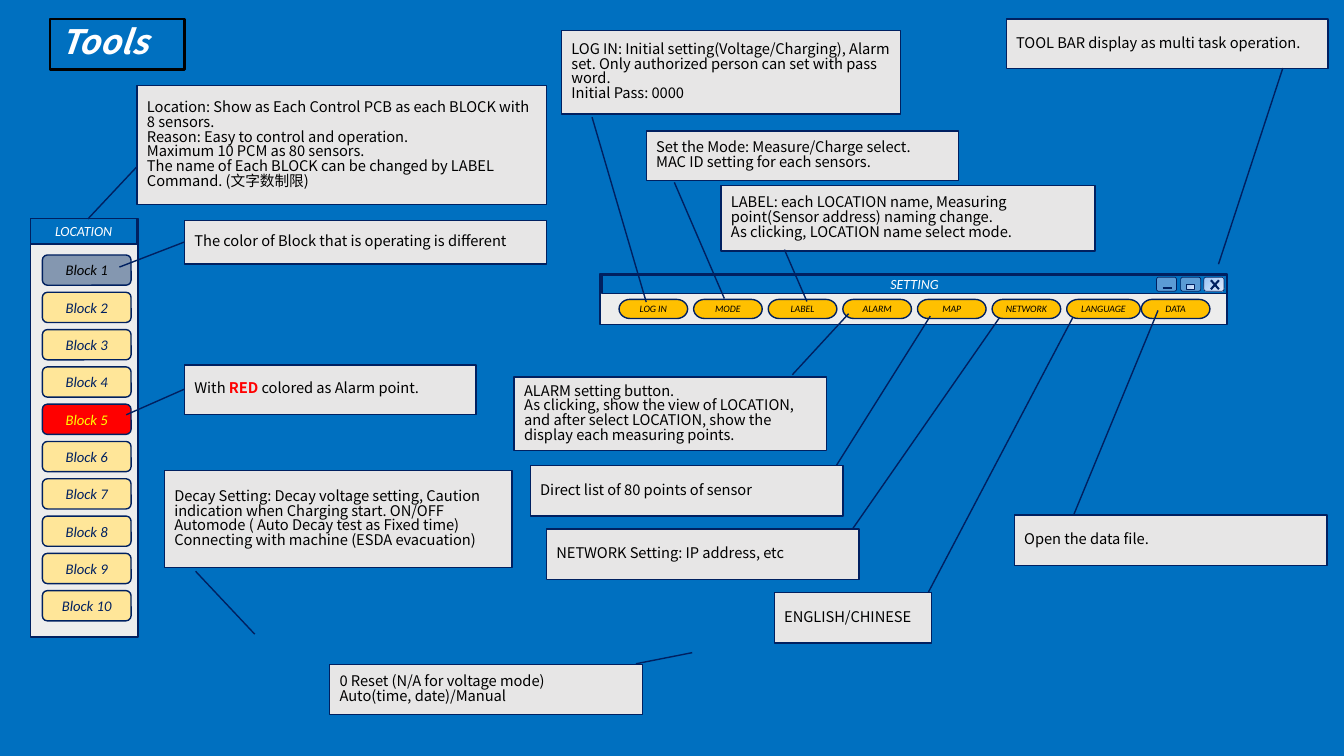
import pptx
import pptx.util
import pptx.dml.color
import pptx.enum.shapes
import pptx.enum.text
import pptx.oxml.ns
import lxml.etree

Inches, Pt = pptx.util.Inches, pptx.util.Pt
RGBColor = pptx.dml.color.RGBColor
SHAPE = pptx.enum.shapes.MSO_SHAPE
ALIGN, ANCHOR = pptx.enum.text.PP_ALIGN, pptx.enum.text.MSO_ANCHOR

BLUE = RGBColor(0x00, 0x70, 0xC0)
NAVY = RGBColor(0x00, 0x20, 0x60)
PANEL = RGBColor(0xED, 0xED, 0xED)
NOTE = RGBColor(0xE7, 0xE6, 0xE6)
SLATE = RGBColor(0x84, 0x97, 0xB0)
CREAM = RGBColor(0xFF, 0xE6, 0x99)
AMBER = RGBColor(0xFF, 0xC0, 0x00)
SKY = RGBColor(0x5B, 0x9B, 0xD5)
PALE_STOPS = [RGBColor(0x9A, 0xC3, 0xF5), RGBColor(0xE1, 0xEB, 0xFB)]
RED = RGBColor(0xFF, 0x00, 0x00)
YELLOW = RGBColor(0xFF, 0xFF, 0x00)
BLACK = RGBColor(0x00, 0x00, 0x00)
WHITE = RGBColor(0xFF, 0xFF, 0xFF)
LABEL_FONT, NOTE_FONT = "Calibri", "Noto Sans CJK JP"

# Content
BLOCKS = [f"Block {number}" for number in range(1, 11)]
SPECIAL_BLOCKS = {"Block 1": (SLATE, BLACK), "Block 5": (RED, YELLOW)}
COMMANDS = ["LOG IN", "MODE", "LABEL", "ALARM", "MAP", "NETWORK", "LANGUAGE", "DATA"]

# Each note: box, pointer as (y1, x1, y2, x2) fractions of the box, paragraphs
NOTES = [
    ((1.36, 0.85, 4.06, 1.18), (0.68, 0, 1.12, -0.12),
     ["Location: Show as Each Control PCB as each BLOCK with 8 sensors.",
      "Reason: Easy to control and operation.",
      "Maximum 10 PCM as 80 sensors.",
      "The name of Each BLOCK can be changed by LABEL Command. (文字数制限)"]),
    ((1.83, 2.19, 3.59, 0.43), (0.49, 0, 1.07, -0.18),
     ["The color of Block that is operating is different"]),
    ((1.83, 3.62, 2.89, 0.49), (0.49, 0, 1.01, -0.2),
     [["With ", ("RED", RED), " colored as Alarm point."]]),
    ((5.57, 0.3, 3.36, 0.83), (1.04, 0.09, 3.25, 0.25),
     ["LOG IN: Initial setting(Voltage/Charging), Alarm set. "
      "Only authorized person can set with pass word.",
      "Initial Pass: 0000"]),
    ((6.41, 1.3, 3.1, 0.49), (1.04, 0.09, 3.39, 0.25),
     ["Set the Mode: Measure/Charge select.",
      "MAC ID setting for each sensors."]),
    ((9.98, 0.19, 3.19, 0.49), (0.99, 0.86, 4.96, 0.66),
     ["TOOL BAR display as multi task operation."]),
    ((7.15, 1.84, 3.71, 0.65), (0.98, 0.17, 1.77, 0.23),
     ["LABEL: each LOCATION name, Measuring point(Sensor address) naming change.",
      "As clicking, LOCATION name select mode."]),
    ((5.1, 3.74, 3.1, 0.73), (-0.03, 0.89, -0.86, 1.07),
     ["ALARM setting button.",
      "As clicking, show the view of LOCATION, and after select LOCATION, "
      "show the display each measuring points."]),
    ((5.26, 4.62, 3.1, 0.5), (-0.01, 0.98, -2.97, 1.28),
     ["Direct list of 80 points of sensor"]),
    ((5.42, 5.25, 3.1, 0.5), (-0.01, 0.98, -4.2, 1.45),
     ["NETWORK Setting: IP address, etc"]),
    ((7.68, 5.88, 1.56, 0.5), (-0.01, 0.98, -5.47, 1.9),
     ["ENGLISH/CHINESE"]),
    ((10.06, 5.11, 3.1, 0.5), (0, 0.19, -4.06, 0.46),
     ["Open the data file."]),
    ((1.63, 4.67, 3.45, 0.96), (1.04, 0.09, 1.69, 0.26),
     ["Decay Setting: Decay voltage setting, Caution indication when "
      "Charging start. ON/OFF",
      "Automode ( Auto Decay test as Fixed time)",
      "Connecting with machine (ESDA evacuation)"]),
    ((3.27, 6.59, 3.1, 0.5), (-0.01, 0.98, -0.23, 1.16),
     ["0 Reset (N/A for voltage mode)",
      "Auto(time, date)/Manual"]),
]


def write(frame, paragraphs, size=10.5, font=LABEL_FONT, color=BLACK, bold=False,
          italic=True, align=ALIGN.CENTER, anchor=ANCHOR.MIDDLE, inset=0, spacing=None):
    frame.word_wrap = True
    frame.auto_size = pptx.enum.text.MSO_AUTO_SIZE.NONE
    frame.vertical_anchor = anchor
    frame.margin_left = frame.margin_right = Inches(inset)
    frame.margin_top = frame.margin_bottom = Inches(inset / 2)
    for index, runs in enumerate(paragraphs):
        paragraph = frame.add_paragraph() if index else frame.paragraphs[0]
        paragraph.alignment = align
        paragraph.line_spacing = spacing
        for part in [runs] if isinstance(runs, str) else runs:
            text, accent = (part, None) if isinstance(part, str) else part
            run = paragraph.add_run()
            run.text = text
            run.font.size, run.font.name = Pt(size), font
            run.font.bold, run.font.italic = bold or accent is not None, italic
            run.font.color.rgb = accent or color
            east_asian = lxml.etree.SubElement(run.font._element, pptx.oxml.ns.qn("a:ea"))
            east_asian.set("typeface", font)


def draw(slide, kind, box, fill, weight=1):
    shape = slide.shapes.add_shape(kind, *map(Inches, box))
    shape.shadow.inherit = False
    if isinstance(fill, list):
        shape.fill.gradient()
        shape.fill.gradient_angle = 315
        for position, (stop, color) in enumerate(zip(shape.fill.gradient_stops, fill)):
            stop.color.rgb = color
            stop.position = position
    else:
        shape.fill.solid()
        shape.fill.fore_color.rgb = fill
    shape.line.color.rgb = NAVY
    shape.line.width = Pt(weight)
    return shape


def stroke(slide, *ends):
    line = slide.shapes.add_connector(pptx.enum.shapes.MSO_CONNECTOR.STRAIGHT,
                                      *map(Inches, ends))
    line.line.color.rgb = NAVY
    line.line.width = Pt(1.5)
    lxml.etree.SubElement(line._element.spPr, pptx.oxml.ns.qn("a:effectLst"))


def add_title(slide):
    title = slide.shapes.title
    title.left, title.top, title.width, title.height = map(Inches, (0.5, 0.19, 1.33, 0.5))
    title.line.color.rgb = BLACK
    title.line.width = Pt(1.5)
    write(title.text_frame, ["Tools"], size=24, font=NOTE_FONT, color=WHITE, bold=True,
          align=ALIGN.LEFT, inset=0.1, spacing=0.83)


def add_location_panel(slide):
    draw(slide, SHAPE.RECTANGLE, (0.3, 2.17, 1.07, 4.15), PANEL)
    for row, block in enumerate(BLOCKS):
        fill, color = SPECIAL_BLOCKS.get(block, (CREAM, NAVY))
        button = draw(slide, SHAPE.ROUNDED_RECTANGLE, (0.42, 2.53 + 0.37 * row, 0.88, 0.3), fill)
        write(button.text_frame, [block], color=color)
    header = draw(slide, SHAPE.RECTANGLE, (0.3, 2.17, 1.06, 0.25), BLUE)
    write(header.text_frame, ["LOCATION"], size=10, color=WHITE)


def add_setting_bar(slide):
    draw(slide, SHAPE.RECTANGLE, (5.95, 2.72, 6.22, 0.5), PANEL)
    header = draw(slide, SHAPE.RECTANGLE, (5.97, 2.73, 6.2, 0.18), BLUE)
    write(header.text_frame, ["SETTING"], size=10, color=WHITE)
    for column, command in enumerate(COMMANDS):
        width = 0.73 if command == "LANGUAGE" else 0.68
        button = draw(slide, SHAPE.FLOWCHART_TERMINATOR,
                      (6.14 + 0.74 * column, 2.97, width, 0.19), AMBER)
        write(button.text_frame, [command], size=7)
    # Window controls: minimise, maximise, close
    for left, fill in ((11.47, SKY), (11.71, SKY), (11.94, PALE_STOPS)):
        draw(slide, SHAPE.ROUNDED_RECTANGLE, (left, 2.75, 0.2, 0.14), fill, weight=0.5)
    draw(slide, SHAPE.RECTANGLE, (11.77, 2.82, 0.08, 0.05), PALE_STOPS)
    stroke(slide, 11.53, 2.86, 11.62, 2.86)
    stroke(slide, 12.01, 2.87, 12.09, 2.78)
    stroke(slide, 12.01, 2.78, 12.09, 2.87)


def add_notes(slide):
    for box, pointer, paragraphs in NOTES:
        note = draw(slide, SHAPE.LINE_CALLOUT_1, box, NOTE)
        for index, fraction in enumerate(pointer):
            note.adjustments[index] = fraction
        write(note.text_frame, paragraphs, font=NOTE_FONT, italic=False,
              align=ALIGN.LEFT, inset=0.1, spacing=0.83)


def main():
    deck = pptx.Presentation()
    deck.slide_width, deck.slide_height = Inches(13.33), Inches(7.5)
    slide = deck.slides.add_slide(deck.slide_layouts[5])
    slide.background.fill.solid()
    slide.background.fill.fore_color.rgb = BLUE
    add_location_panel(slide)
    add_title(slide)
    add_setting_bar(slide)
    add_notes(slide)
    deck.save("out.pptx")


if __name__ == "__main__":
    main()
